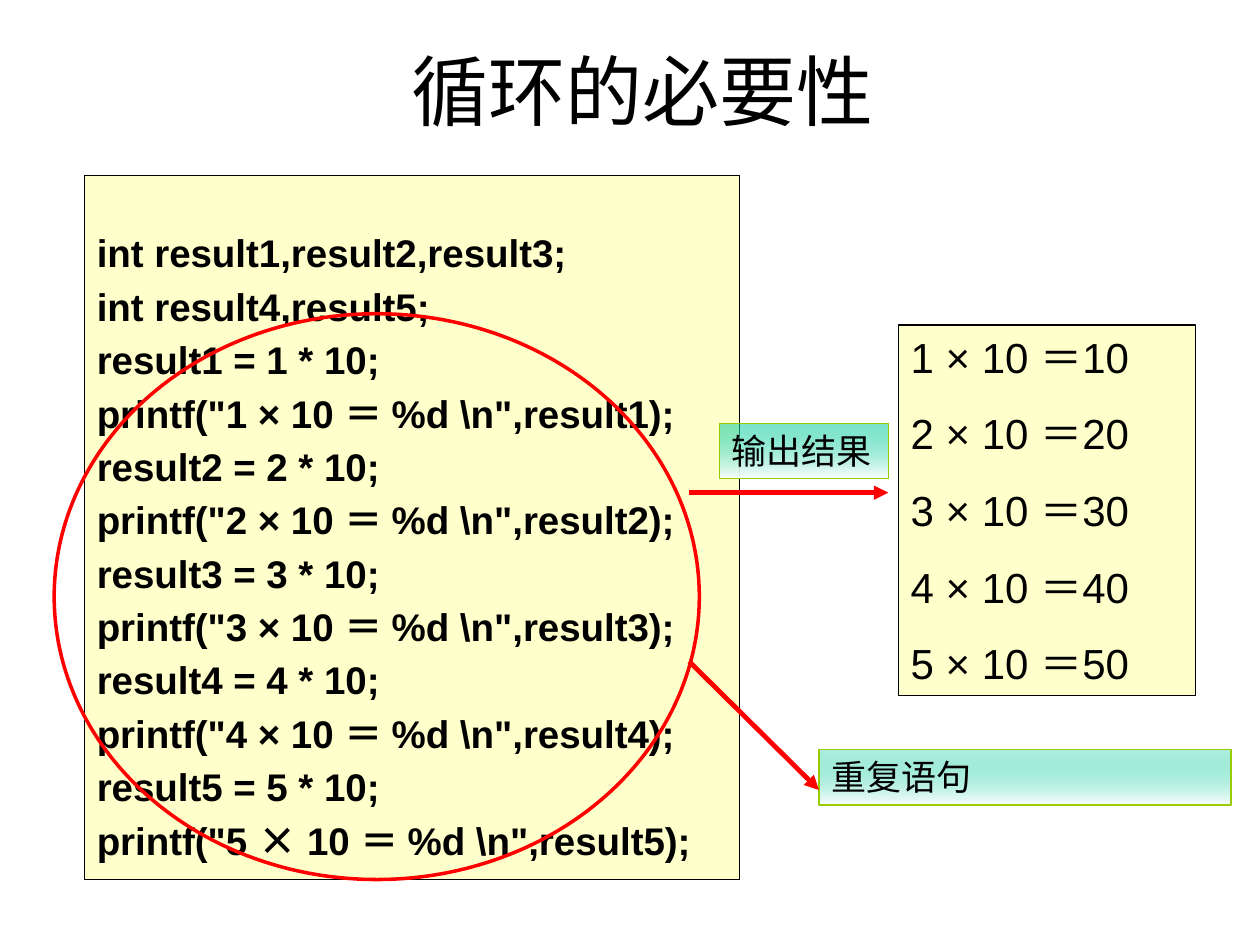
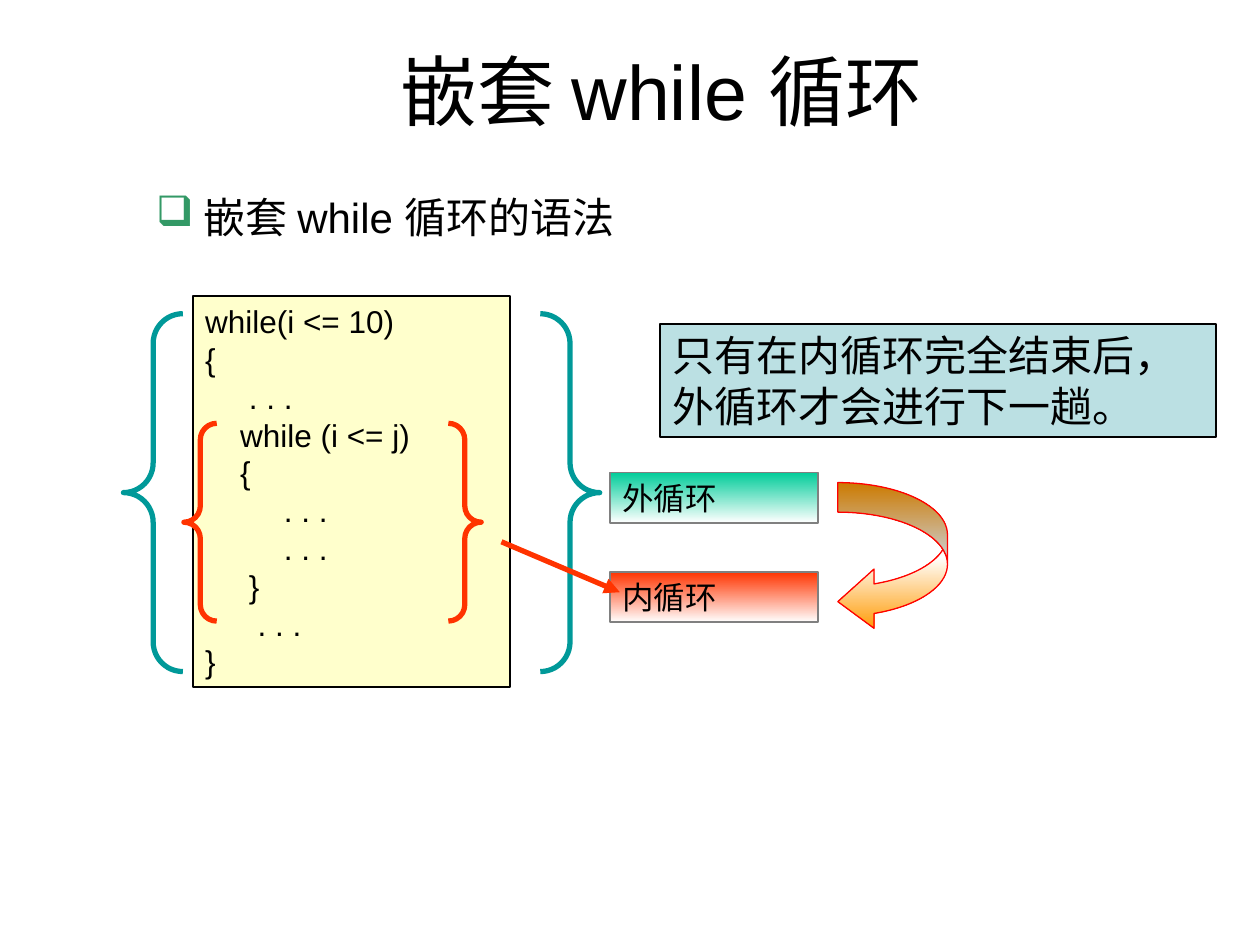
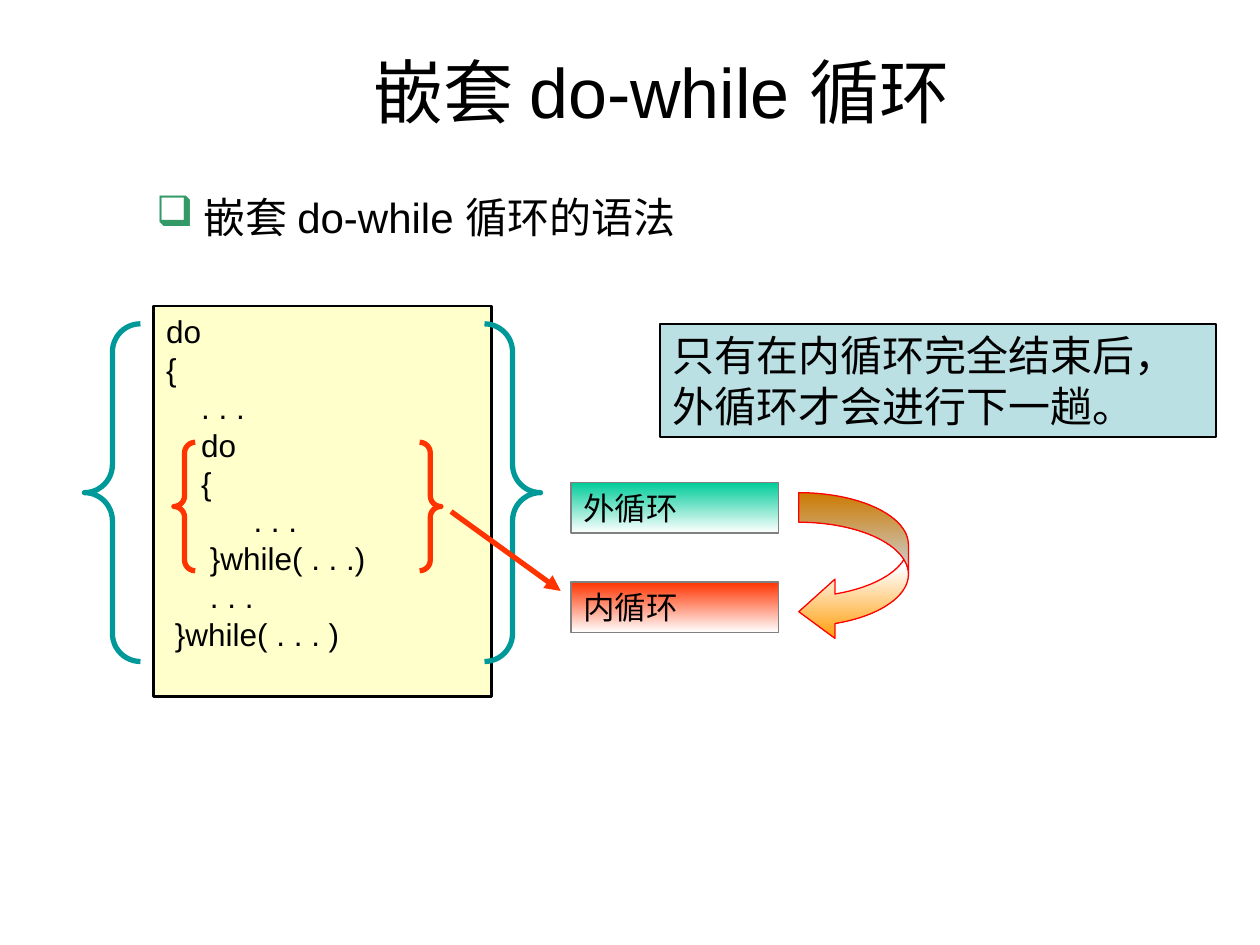
from lxml import etree
from pptx import Presentation
from pptx.dml.color import RGBColor
from pptx.enum.shapes import MSO_CONNECTOR, MSO_SHAPE
from pptx.enum.text import MSO_ANCHOR, PP_ALIGN
from pptx.oxml.ns import qn
from pptx.util import Inches, Pt

RECTANGLE, ELLIPSE = MSO_SHAPE.RECTANGLE, MSO_SHAPE.OVAL
BRACES, CURVED_ARROW = MSO_SHAPE.DOUBLE_BRACE, MSO_SHAPE.CURVED_LEFT_ARROW
STRAIGHT = MSO_CONNECTOR.STRAIGHT
TOP, MIDDLE = MSO_ANCHOR.TOP, MSO_ANCHOR.MIDDLE
LEFT, CENTER = PP_ALIGN.LEFT, PP_ALIGN.CENTER

BLACK = RGBColor(0x00, 0x00, 0x00)
WHITE = RGBColor(0xFF, 0xFF, 0xFF)
CREAM = RGBColor(0xFF, 0xFF, 0xCC)
PALE_BLUE = RGBColor(0xBB, 0xE0, 0xE3)
GREEN = RGBColor(0x00, 0xCC, 0x99)
BULLET_GREEN = RGBColor(0x33, 0x99, 0x66)
LIME = RGBColor(0x99, 0xCC, 0x00)
TEAL = RGBColor(0x00, 0x99, 0x99)
RED = RGBColor(0xFF, 0x00, 0x00)
VERMILION = RGBColor(0xFF, 0x33, 0x00)
ORANGE = RGBColor(0xFF, 0x99, 0x00)
GRAY = RGBColor(0x80, 0x80, 0x80)

FONT = "Arial"
WIDE_FONT = "Noto Sans CJK SC"
LINE_RATIO = 1.2
NUMBERS = range(1, 6)

DECLARATIONS = ["int result1,result2,result3;", "int result4,result5;"]
REPEATED = ["result{0} = {0} * 10;", 'printf("{0} × 10 ＝ %d \\n",result{0});']
OUTPUT = [f"{n} × 10 ＝{n * 10}" for n in NUMBERS]
NOTE = "只有在内循环完全结束后，外循环才会进行下一趟。"
LOOP_LABELS = [("外循环", GREEN), ("内循环", VERMILION)]

NESTED_LOOPS = [
    {
        "title": "嵌套 while 循环", "title_size": 44,
        "heading": "嵌套 while 循环的语法",
        "code": ["while(i <= 10)", "{", "     . . .", "    while (i <= j)", "    {",
                 "         . . .", "         . . .", "     }", "      . . .", "}"],
        "code_box": (1.53, 2.35, 2.52, 3.1), "code_line": 1.25,
        "outer_braces": (0.98, 2.49, 3.78, 2.84),
        "inner_braces": (1.46, 3.36, 2.36, 1.57),
        "labels_at": (4.84, 3.75), "note_line": 1,
        "pointer": ((3.98, 4.3), (4.92, 4.7)),
    },
    {
        "title": "嵌套 do-while 循环", "title_size": 40,
        "heading": "嵌套 do-while 循环的语法",
        "code": ["do", "{", "    . . .", "    do", "    {", "          . . .",
                 "     }while( . . .)", "     . . .", " }while( . . . )"],
        "code_box": (1.22, 2.43, 2.68, 3.1), "code_line": 1.5,
        "outer_braces": (0.67, 2.57, 3.62, 2.68),
        "inner_braces": (1.38, 3.51, 2.12, 1.02),
        "labels_at": (4.53, 3.83), "note_line": 1.25,
        "pointer": ((3.58, 4.06), (4.45, 4.69)),
    },
]


def set_gradient(fill, shape, stops):
    fill.gradient()
    fill.gradient_angle = 270
    stop_list = shape.element.spPr.find(qn("a:gradFill")).find(qn("a:gsLst"))
    for old_stop in list(stop_list):
        stop_list.remove(old_stop)
    for position, color, opacity in stops:
        stop = etree.SubElement(stop_list, qn("a:gs"), pos=str(position * 1000))
        value = etree.SubElement(stop, qn("a:srgbClr"), val=str(color))
        if opacity < 100:
            etree.SubElement(value, qn("a:alpha"), val=str(opacity * 1000))


def add_figure(slide, kind, box, line, width, fill=None, adjustments=()):
    shape = slide.shapes.add_shape(kind, *map(Inches, box))
    shape.shadow.inherit = False
    for index, value in enumerate(adjustments):
        shape.adjustments[index] = value
    if fill is None:
        shape.fill.background()
    elif isinstance(fill, list):
        set_gradient(shape.fill, shape, fill)
    else:
        shape.fill.solid()
        shape.fill.fore_color.rgb = fill
    shape.line.color.rgb = line
    shape.line.width = Pt(width)
    return shape


def write(shape, lines, size, gap=0, pitch=None, bold=False, align=LEFT, anchor=TOP):
    frame = shape.text_frame
    frame.word_wrap = True
    frame.vertical_anchor = anchor
    for index, line in enumerate(lines):
        paragraph = frame.paragraphs[0] if index == 0 else frame.add_paragraph()
        paragraph.text = line
        paragraph.alignment = align
        paragraph.line_spacing = Pt(pitch or size * LINE_RATIO)
        paragraph.space_before = Pt(gap if index else 0)
        paragraph.font.name = FONT
        paragraph.font.size = Pt(size)
        paragraph.font.bold = bold
        paragraph.font.color.rgb = BLACK
    return frame


def add_arrow(slide, start, end, color, width):
    connector = slide.shapes.add_connector(STRAIGHT, *map(Inches, start + end))
    connector.line.color.rgb = color
    connector.line.width = Pt(width)
    etree.SubElement(connector.line._get_or_add_ln(), qn("a:tailEnd"), type="triangle")
    etree.SubElement(connector.element.spPr, qn("a:effectLst"))


def add_title(slide, text, size, left=0.75):
    box = slide.shapes.add_textbox(*map(Inches, (left, 0.28, 9, 0.87)))
    write(box, [text], size, align=CENTER, anchor=MIDDLE)


def add_heading(slide, text):
    box = slide.shapes.add_textbox(*map(Inches, (1.14, 1.47, 6.93, 0.5)))
    paragraph = box.text_frame.paragraphs[0]
    properties = paragraph._p.get_or_add_pPr()
    hang = Inches(0.38)
    properties.set("marL", str(hang))
    properties.set("indent", str(-hang))
    color = etree.SubElement(properties, qn("a:buClr"))
    etree.SubElement(color, qn("a:srgbClr"), val=str(BULLET_GREEN))
    etree.SubElement(properties, qn("a:buChar"), char="❑")
    write(box, [text], 24)


def fade(color, opacity=100):
    return [(0, color, opacity), (100, WHITE, 100)]


def widen_signs(paragraph):
    text = paragraph.text
    before, after = text.split("×")
    paragraph.clear()
    for part in (before, "×", after):
        run = paragraph.add_run()
        run.text = part
        if part == "×":
            run.font.name = WIDE_FONT


def build_need_for_loops(slide):
    add_title(slide, "循环的必要性", 44, left=0.6)
    code = DECLARATIONS + [line.format(n) for n in NUMBERS for line in REPEATED]
    code_box = add_figure(slide, RECTANGLE, (0.67, 1.39, 5.2, 5.59), BLACK, 0.25, CREAM)
    frame = write(code_box, code, 22, gap=5.5, pitch=25, bold=True)
    frame.margin_top = Inches(0.45)
    widen_signs(frame.paragraphs[-1])

    output_box = add_figure(slide, RECTANGLE, (7.13, 2.58, 2.36, 2.94), BLACK, 0.75, CREAM)
    write(output_box, OUTPUT, 24, gap=15)

    for text, box, opacity in [("输出结果", (5.71, 3.36, 1.34, 0.44), 51),
                               ("重复语句", (6.5, 5.95, 3.27, 0.44), 31)]:
        label = add_figure(slide, RECTANGLE, box, LIME, 0.75, fade(GREEN, opacity))
        write(label, [text], 20)

    add_figure(slide, ELLIPSE, (0.43, 2.49, 5.12, 4.49), RED, 2)
    add_arrow(slide, (5.55, 5.09), (5.55, 5.09), BLACK, 0.75)
    add_arrow(slide, (5.47, 5.25), (6.5, 6.27), RED, 2.75)
    add_arrow(slide, (5.47, 3.91), (7.05, 3.91), RED, 2.75)


def build_nested_loop(slide, loop):
    add_title(slide, loop["title"], loop["title_size"])
    add_heading(slide, loop["heading"])
    code_box = add_figure(slide, RECTANGLE, loop["code_box"], BLACK, loop["code_line"], CREAM)
    write(code_box, loop["code"], 18)
    for braces, color in [("outer_braces", TEAL), ("inner_braces", VERMILION)]:
        add_figure(slide, BRACES, loop[braces], color, 3, adjustments=[0.083])

    left, top = loop["labels_at"]
    for row, (text, color) in enumerate(LOOP_LABELS):
        box = (left, top + row * 0.79, 1.65, 0.4)
        write(add_figure(slide, RECTANGLE, box, GRAY, 1, fade(color)), [text], 18)
    add_figure(slide, CURVED_ARROW, (left + 1.81, top + 0.08, 0.87, 1.18), RED, 0.75,
               fade(ORANGE)[:1] + [(50, WHITE, 100), (100, ORANGE, 100)],
               adjustments=[0.27, 0.54, 0.33])

    note = add_figure(slide, RECTANGLE, (5.24, 2.57, 4.41, 0.9), BLACK, loop["note_line"], PALE_BLUE)
    write(note, [NOTE], 24)
    add_arrow(slide, *loop["pointer"], VERMILION, 3)


def main():
    presentation = Presentation()
    presentation.slide_width, presentation.slide_height = Inches(10), Inches(7.5)
    blank = presentation.slide_layouts[6]
    build_need_for_loops(presentation.slides.add_slide(blank))
    for loop in NESTED_LOOPS:
        build_nested_loop(presentation.slides.add_slide(blank), loop)
    presentation.save("out.pptx")


if __name__ == "__main__":
    main()
